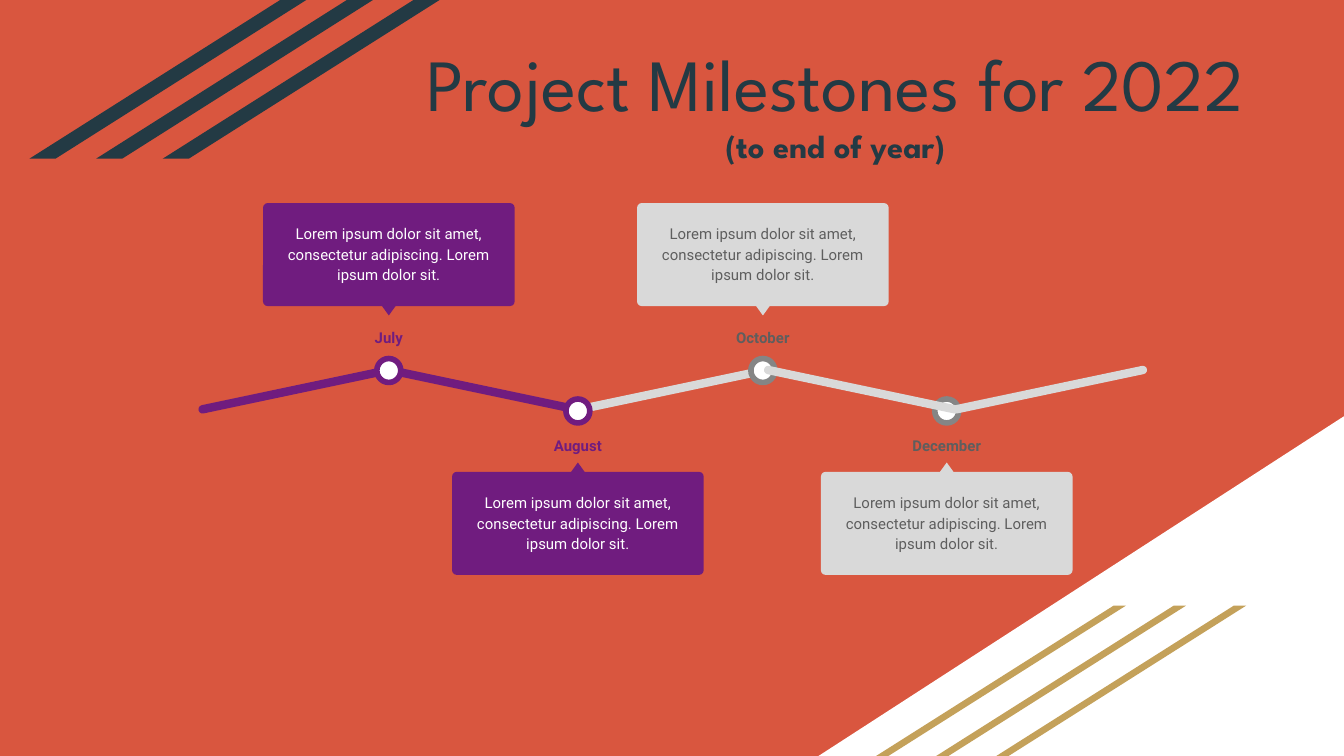
import pptx
import pptx.util
import pptx.dml.color
import pptx.enum.shapes
import pptx.enum.text

Pt = pptx.util.Pt
RGBColor = pptx.dml.color.RGBColor
Shape = pptx.enum.shapes.MSO_SHAPE
Align = pptx.enum.text.PP_ALIGN
Anchor = pptx.enum.text.MSO_ANCHOR

ORANGE = RGBColor(0xD9, 0x56, 0x3F)
SLATE = RGBColor(0x23, 0x3A, 0x44)
GOLD = RGBColor(0xC4, 0xA1, 0x5A)
WHITE = RGBColor(0xFF, 0xFF, 0xFF)
PURPLE = RGBColor(0x70, 0x1C, 0x7F)
PALE_GRAY = RGBColor(0xD9, 0xD9, 0xD9)
MID_GRAY = RGBColor(0x85, 0x85, 0x85)
DARK_GRAY = RGBColor(0x5E, 0x5E, 0x5E)

BODY = "Lorem ipsum dolor sit amet, consectetur adipiscing. Lorem ipsum dolor sit."
DONE = {"card": PURPLE, "body": WHITE, "label": PURPLE, "ring": PURPLE}
PLANNED = {"card": PALE_GRAY, "body": DARK_GRAY, "label": DARK_GRAY, "ring": MID_GRAY}


def add_filled(shapes, kind, box, color, rotation=0, adjustment=None):
    shape = shapes.add_shape(kind, *[Pt(length) for length in box])
    shape.shadow.inherit = False
    shape.fill.solid()
    shape.fill.fore_color.rgb = color
    shape.line.fill.background()
    shape.rotation = rotation
    if adjustment is not None:
        shape.adjustments[0] = adjustment
    return shape


def add_text_frame(shapes, box, anchor):
    frame = shapes.add_textbox(*[Pt(length) for length in box]).text_frame
    frame.word_wrap = True
    frame.vertical_anchor = anchor
    frame.margin_left = frame.margin_right = Pt(7.2)
    frame.margin_top = frame.margin_bottom = Pt(7.2)
    return frame


def style_paragraph(para, text, font, size, color, bold=False):
    para.text = text
    para.alignment = Align.CENTER
    para.font.name = font
    para.font.size = Pt(size)
    para.font.bold = bold
    para.font.color.rgb = color


def add_small_text(shapes, box, text, color, bold=False):
    para = add_text_frame(shapes, box, Anchor.TOP).paragraphs[0]
    style_paragraph(para, text, "Roboto", 8, color, bold)
    para.line_spacing = 1.15
    para.space_after = Pt(16)


def add_stripes(page, box, step, color):
    left, top, width, height = box
    group = page.shapes.add_group_shape()
    for index in (2, 1, 0):
        stripe = (left + index * step, top, width, height)
        add_filled(group.shapes, Shape.PARALLELOGRAM, stripe, color, adjustment=1.58)


def add_corner(page, box):
    triangle = add_filled(page.shapes, Shape.RIGHT_TRIANGLE, box, WHITE)
    triangle._element.spPr.get_or_add_xfrm().set("flipH", "1")


def add_title(page, box):
    frame = add_text_frame(page.shapes, box, Anchor.MIDDLE)
    style_paragraph(frame.paragraphs[0], "Project Milestones for 2022",
                    "League Spartan", 39.4, SLATE)
    style_paragraph(frame.add_paragraph(), "(to end of year)",
                    "League Spartan", 17.4, SLATE, True)


def add_segment(page, left, rising, color):
    rotation = -11.9 if rising else 11.9
    add_filled(page.shapes, Shape.ROUNDED_RECTANGLE, (left, 206.5, 106.6, 4.5),
               color, rotation, 0.5)


def add_milestone(page, box, label, above, colors):
    left, top, width, height = box
    center = left + width / 2
    if above:
        pointer_top, label_top, dot_top = top + height, top + 60.5, top + 83.3
    else:
        pointer_top, label_top, dot_top = top - 5, top - 25.9, top - 39
    shapes = page.shapes.add_group_shape().shapes
    dot = add_filled(shapes, Shape.OVAL, (center - 6.4, dot_top, 12.8, 12.8), WHITE)
    dot.line.color.rgb = colors["ring"]
    dot.line.width = Pt(3)
    add_small_text(shapes, (center - 27.4, label_top, 54.8, 21.6),
                   label, colors["label"], True)
    add_filled(shapes, Shape.ROUNDED_RECTANGLE, box, colors["card"], adjustment=0.045)
    add_filled(shapes, Shape.ISOSCELES_TRIANGLE, (center - 3.6, pointer_top, 7.2, 5),
               colors["card"], 180 if above else 0)
    add_small_text(shapes, (left + 3.4, top + 3.1, 128, 49), BODY, colors["body"])


def main():
    deck = pptx.Presentation()
    deck.slide_width, deck.slide_height = Pt(720), Pt(405)
    page = deck.slides.add_slide(deck.slide_layouts[6])
    page.background.fill.solid()
    page.background.fill.fore_color.rgb = ORANGE

    add_corner(page, (438.5, 223, 281.5, 182))
    add_stripes(page, (469.4, 324.4, 133.9, 80.6), 32.2, GOLD)
    add_stripes(page, (15.8, 0, 148.3, 85), 35.7, SLATE)
    add_title(page, (171.4, 0, 552.2, 108.7))

    card_size = (134.8, 55.2)
    add_segment(page, 307.4, True, PALE_GRAY)
    add_milestone(page, (341.3, 108.8, *card_size), "October", True, PLANNED)
    add_segment(page, 205.2, False, PURPLE)
    add_milestone(page, (242.2, 252.8, *card_size), "August", False, DONE)
    add_segment(page, 105.2, True, PURPLE)
    add_milestone(page, (439.8, 252.8, *card_size), "December", False, PLANNED)
    add_segment(page, 509, True, PALE_GRAY)
    add_segment(page, 408.2, False, PALE_GRAY)
    add_milestone(page, (140.9, 108.8, *card_size), "July", True, DONE)

    deck.save("out.pptx")


if __name__ == "__main__":
    main()
